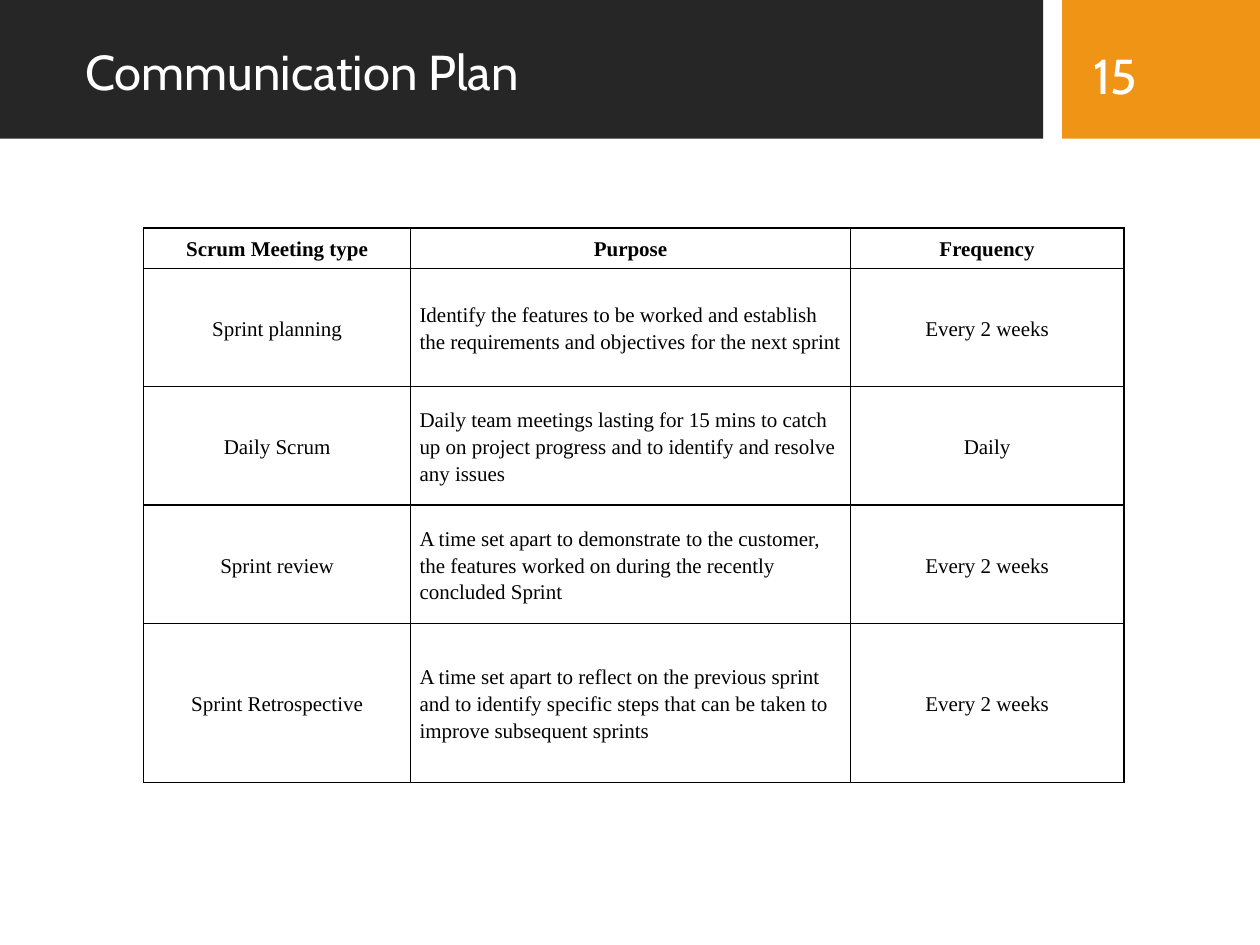
from dataclasses import dataclass

from lxml.etree import SubElement
from pptx import Presentation
from pptx.dml.color import RGBColor
from pptx.enum.shapes import MSO_SHAPE as Shape
from pptx.enum.text import MSO_ANCHOR as Anchor, PP_ALIGN as Align
from pptx.oxml.ns import qn
from pptx.util import Inches, Pt


@dataclass(frozen=True)
class Theme:
    dark: str = "262626"
    accent: str = "F09415"
    light: str = "FFFFFF"
    ink: str = "000000"
    heading_font: str = "Cabin"
    body_font: str = "Times New Roman"
    heading_size: int = 28
    body_size: int = 12
    border_width: int = 1


class SlideBuilder:
    def __init__(self, slide, theme):
        self.slide = slide
        self.theme = theme

    def style(self, paragraph, font, size, color, bold=False):
        paragraph.font.name = font
        paragraph.font.size = Pt(size)
        paragraph.font.color.rgb = RGBColor.from_string(color)
        paragraph.font.bold = bold

    def block(self, left, top, width, height, color):
        box = map(Inches, (left, top, width, height))
        shape = self.slide.shapes.add_shape(Shape.RECTANGLE, *box)
        shape.shadow.inherit = False
        shape.fill.solid()
        shape.fill.fore_color.rgb = RGBColor.from_string(color)
        shape.line.fill.background()

    def heading(self, text, left, top, width, height, spacing=1.0):
        box = map(Inches, (left, top, width, height))
        frame = self.slide.shapes.add_textbox(*box).text_frame
        frame.word_wrap = True
        frame.vertical_anchor = Anchor.MIDDLE
        paragraph = frame.paragraphs[0]
        paragraph.text = text
        paragraph.line_spacing = spacing
        theme = self.theme
        self.style(paragraph, theme.heading_font, theme.heading_size, theme.light)

    def borders(self, cell):
        properties = cell._tc.get_or_add_tcPr()
        for position, side in enumerate(("a:lnL", "a:lnR", "a:lnT", "a:lnB")):
            line = SubElement(properties, qn(side), w=str(Pt(self.theme.border_width)))
            fill = SubElement(line, qn("a:solidFill"))
            SubElement(fill, qn("a:srgbClr"), val=self.theme.ink)
            properties.insert(position, line)

    def cell(self, cell, text, alignment, bold):
        cell.fill.background()
        self.borders(cell)
        cell.vertical_anchor = Anchor.MIDDLE
        cell.margin_left = cell.margin_right = Inches(0.07)
        cell.margin_top = cell.margin_bottom = 0
        paragraph = cell.text_frame.paragraphs[0]
        paragraph.text = text
        paragraph.alignment = alignment
        paragraph.line_spacing = 1.15
        theme = self.theme
        self.style(paragraph, theme.body_font, theme.body_size, theme.ink, bold)

    def table(self, left, top, widths, heights, rows):
        box = map(Inches, (left, top, sum(widths), sum(heights)))
        table = self.slide.shapes.add_table(len(rows), len(widths), *box).table
        table.horz_banding = False
        for column, width in zip(table.columns, widths):
            column.width = Inches(width)
        for row, height in zip(table.rows, heights):
            row.height = Inches(height)
        for row_index, texts in enumerate(rows):
            is_header = row_index == 0
            for column_index, text in enumerate(texts):
                is_purpose = column_index == 1 and not is_header
                alignment = Align.LEFT if is_purpose else Align.CENTER
                self.cell(table.cell(row_index, column_index), text, alignment, is_header)


MEETINGS = [
    ("Scrum Meeting type", "Purpose", "Frequency"),
    ("Sprint planning",
     "Identify the features to be worked and establish the requirements "
     "and objectives for the next sprint",
     "Every 2 weeks"),
    ("Daily Scrum",
     "Daily team meetings lasting for 15 mins to catch up on project progress "
     "and to identify and resolve any issues",
     "Daily"),
    ("Sprint review",
     "A time set apart to demonstrate to the customer, the features worked on "
     "during the recently concluded Sprint",
     "Every 2 weeks"),
    ("Sprint Retrospective",
     "A time set apart to reflect on the previous sprint and to identify "
     "specific steps that can be taken to improve subsequent sprints",
     "Every 2 weeks"),
]


def main():
    presentation = Presentation()
    presentation.slide_width = Inches(10)
    presentation.slide_height = Inches(7.5)
    theme = Theme()
    slide = presentation.slides.add_slide(presentation.slide_layouts[6])
    builder = SlideBuilder(slide, theme)

    builder.block(0, 0, 8.28, 1.1, theme.dark)
    builder.block(8.43, 0, 1.57, 1.1, theme.accent)
    builder.heading("Communication Plan", 0.58, 0.16, 7.54, 0.87, spacing=0.9)
    builder.table(1.14, 1.81, (2.12, 3.49, 2.17), (0.32, 0.94, 0.94, 0.94, 1.26), MEETINGS)
    builder.heading("15", 8.58, 0.16, 1.27, 0.87)

    presentation.save("out.pptx")


if __name__ == "__main__":
    main()
